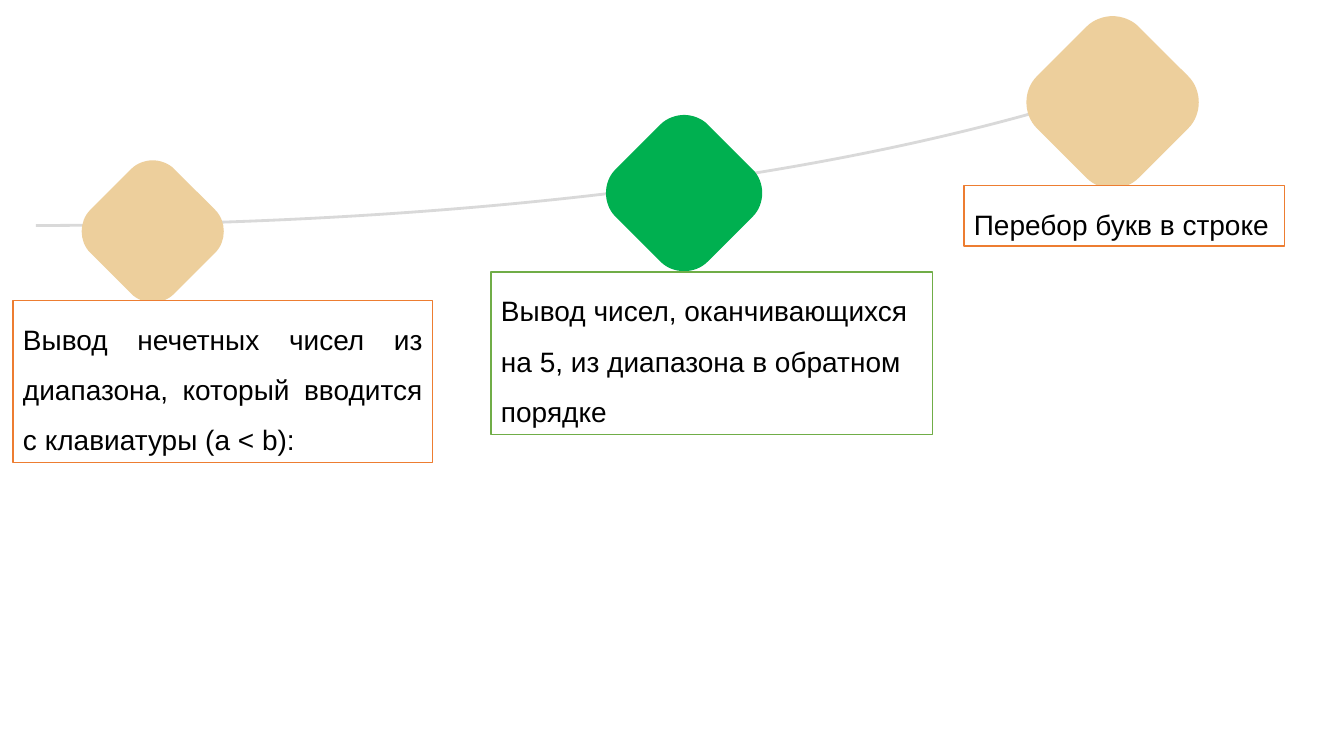
import dataclasses

import lxml.etree
import pptx
import pptx.dml.color
import pptx.enum.shapes
import pptx.enum.text
import pptx.oxml.ns
import pptx.util

Inches = pptx.util.Inches
Align = pptx.enum.text.PP_ALIGN
qualified = pptx.oxml.ns.qn

# Segments are (command, points); the diamond is drawn in a unit square.
DIAMOND = [
    ("moveTo", [(0.5, 0)]),
    ("cubicBezTo", [(0.55, 0), (0.61, 0.02), (0.65, 0.06)]),
    ("lnTo", [(0.94, 0.35)]),
    ("cubicBezTo", [(1.02, 0.43), (1.02, 0.57), (0.94, 0.65)]),
    ("lnTo", [(0.65, 0.94)]),
    ("cubicBezTo", [(0.57, 1.02), (0.43, 1.02), (0.35, 0.94)]),
    ("lnTo", [(0.06, 0.65)]),
    ("cubicBezTo", [(-0.02, 0.57), (-0.02, 0.43), (0.06, 0.35)]),
    ("lnTo", [(0.35, 0.06)]),
    ("cubicBezTo", [(0.39, 0.02), (0.45, 0), (0.5, 0)]),
    ("close", []),
]
# The curve is drawn in inches from the top left of its box.
CURVE = [
    ("moveTo", [(10.94, 0)]),
    ("cubicBezTo", [(7, 1.16), (1.9, 1.01), (0, 0.93)]),
]


@dataclasses.dataclass(frozen=True)
class Theme:
    font: str = "Arial"
    text_size: int = 20
    line_spacing: float = 1.5
    text: str = "000000"
    paper: str = "FFFFFF"
    curve: str = "D9D9D9"
    sand: str = "EDCF9C"
    green: str = "00B050"
    orange_border: str = "ED7D31"
    green_border: str = "70AD47"


def color(code):
    return pptx.dml.color.RGBColor.from_string(code)


def write_text(text_frame, text, *, font, size, text_color, spacing, align):
    paragraph = text_frame.paragraphs[0]
    paragraph.alignment = align
    paragraph.line_spacing = spacing
    run = paragraph.add_run()
    run.text = text
    run.font.name = font
    run.font.size = pptx.util.Pt(size)
    run.font.color.rgb = color(text_color)


class SlideBuilder:
    def __init__(self, slide, theme):
        self.slide = slide
        self.theme = theme

    def format_shape(self, shape, fill=None, line=None, width=1):
        shape.shadow.inherit = False
        if fill:
            shape.fill.solid()
            shape.fill.fore_color.rgb = color(fill)
        else:
            shape.fill.background()
        if line:
            shape.line.color.rgb = color(line)
            shape.line.width = pptx.util.Pt(width)
        else:
            shape.line.fill.background()

    def outline(self, left, top, width, height, segments, scale=1):
        """Add a freeform filling the box, then give it the curved segments."""
        left, top, width, height = map(Inches, (left, top, width, height))
        builder = self.slide.shapes.build_freeform(left, top)
        builder.add_line_segments([(left + width, top), (left + width, top + height)])
        shape = builder.convert_to_shape()
        geometry = next(shape.element.iter(qualified("a:path")))
        for child in list(geometry):
            geometry.remove(child)
        for command, points in segments:
            segment = lxml.etree.SubElement(geometry, qualified("a:" + command))
            for x, y in points:
                lxml.etree.SubElement(segment, qualified("a:pt"),
                                      x=str(Inches(x * scale)), y=str(Inches(y * scale)))
        return shape

    def curve(self, left, top, width, height, rotation):
        shape = self.outline(left, top, width, height, CURVE)
        shape.rotation = rotation
        self.format_shape(shape, line=self.theme.curve, width=2)

    def diamond(self, left, top, size, fill):
        shape = self.outline(left, top, size, size, DIAMOND, scale=size)
        self.format_shape(shape, fill=fill)

    def caption(self, text, left, top, width, height, border, align=Align.LEFT):
        shape = self.slide.shapes.add_shape(
            pptx.enum.shapes.MSO_SHAPE.RECTANGLE,
            Inches(left), Inches(top), Inches(width), Inches(height))
        self.format_shape(shape, fill=self.theme.paper, line=border)
        text_frame = shape.text_frame
        text_frame.word_wrap = True
        text_frame.auto_size = pptx.enum.text.MSO_AUTO_SIZE.SHAPE_TO_FIT_TEXT
        text_frame.vertical_anchor = pptx.enum.text.MSO_ANCHOR.TOP
        write_text(text_frame, text, font=self.theme.font, size=self.theme.text_size,
                   text_color=self.theme.text, spacing=self.theme.line_spacing, align=align)


def main():
    presentation = pptx.Presentation()
    presentation.slide_width = Inches(13.33)
    presentation.slide_height = Inches(7.5)
    theme = Theme()
    blank_layout = presentation.slide_layouts[6]
    builder = SlideBuilder(presentation.slides.add_slide(blank_layout), theme)

    builder.curve(0.33, 1.06, 10.94, 0.99, rotation=357.4)

    diamonds = [
        (0.81, 1.59, 1.41, theme.sand),
        (6.01, 1.14, 1.55, theme.green),
        (10.18, 0.16, 1.71, theme.sand),
    ]
    for diamond in diamonds:
        builder.diamond(*diamond)

    captions = [
        ("Вывод нечетных чисел из диапазона, который вводится с клавиатуры (a < b):",
         0.13, 2.98, 4.16, 1.61, theme.orange_border, Align.JUSTIFY),
        ("Вывод чисел, оканчивающихся на 5, из диапазона в обратном порядке",
         4.87, 2.7, 4.38, 1.61, theme.green_border),
        ("Перебор букв в строке", 9.56, 1.84, 3.18, 0.6, theme.orange_border),
    ]
    for caption in captions:
        builder.caption(*caption)

    presentation.save("out.pptx")


if __name__ == "__main__":
    main()
